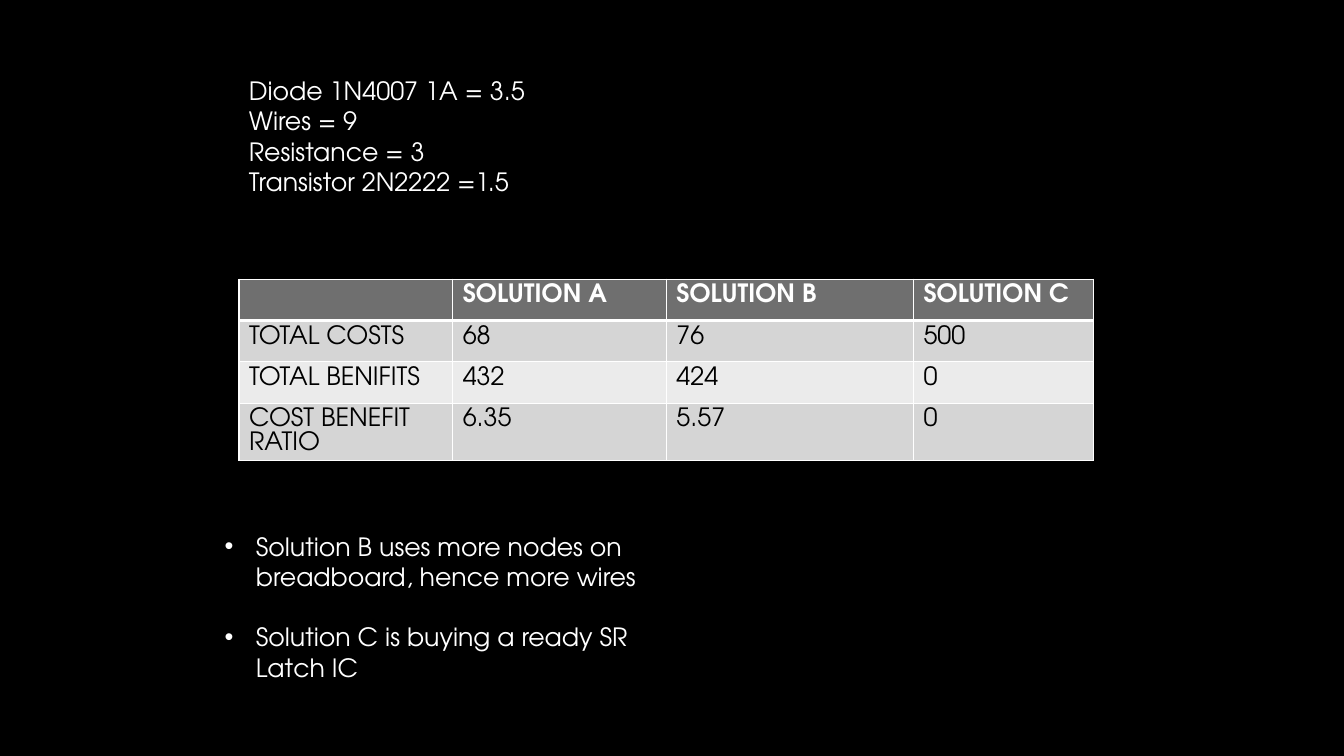
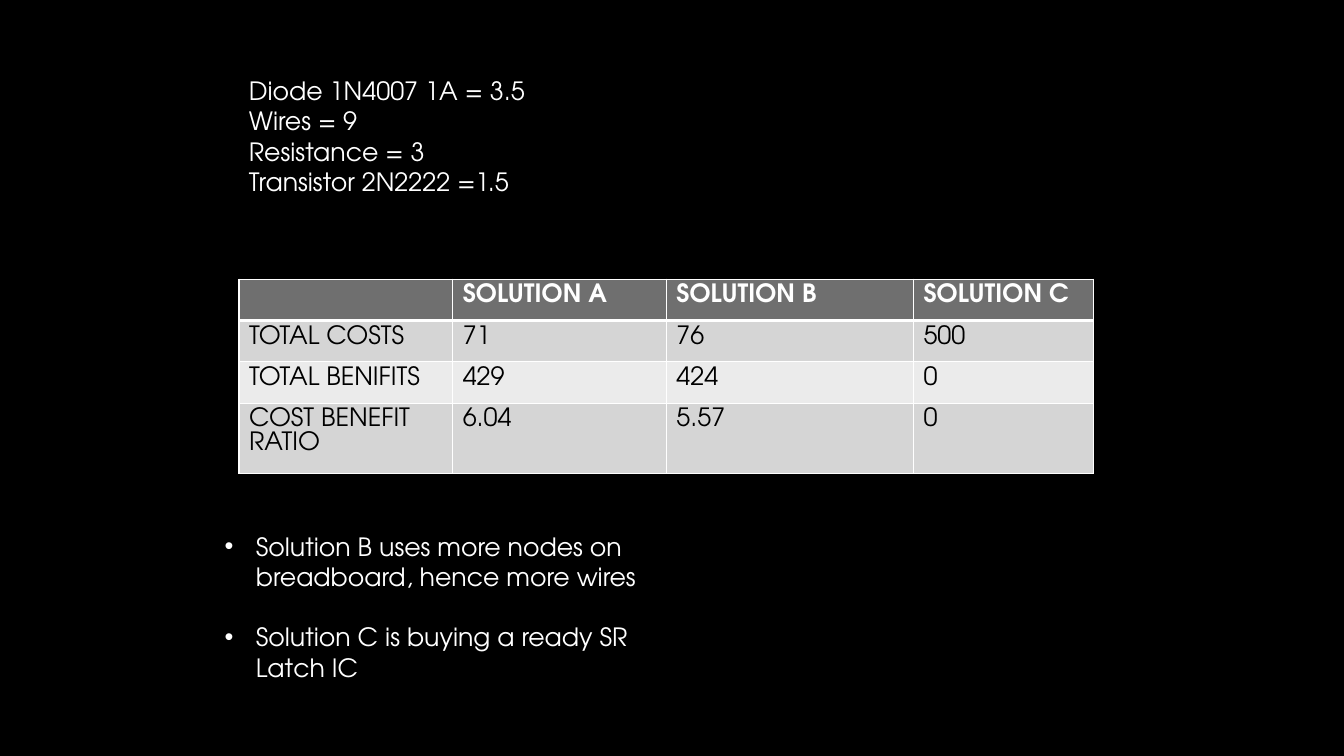
"""Build two cost-benefit slides, each with a parts list, a table and notes."""
from pptx import Presentation
from pptx.dml.color import RGBColor
from pptx.oxml import parse_xml
from pptx.oxml.ns import nsdecls
from pptx.util import Inches, Pt


def color(code):
    return RGBColor.from_string(code)


def write(frame, lines, look, ink, gap=0):
    frame.word_wrap = True
    for i, line in enumerate(lines):
        para = frame.paragraphs[0] if i == 0 else frame.add_paragraph()
        if i and gap:
            para.space_before = Pt(gap)
        run = para.add_run()
        run.text = line
        for name, value in look.items():
            setattr(run.font, name, value)
        run.font.color.rgb = color(ink)


WHITE, BLACK = "FFFFFF", "000000"
HEAD, DARK, PALE = "6F6F6F", "D5D5D5", "EBEBEB"
BODY = {"name": "TeX Gyre Adventor", "size": Pt(18), "bold": False}
BOLD = {**BODY, "bold": True}
INDENT = {"marL": str(Inches(0.31)), "indent": str(-Inches(0.31))}
PARTS = ["Diode 1N4007 1A = 3.5", "Wires = 9", "Resistance = 3", "Transistor 2N2222 =1.5"]
NOTES = [
    "Solution B uses more nodes on breadboard, hence more wires",
    "Solution C is buying a ready SR Latch IC",
]
TOP = ["", "SOLUTION A", "SOLUTION B", "SOLUTION C"]
COLS = [2.12, 2.12, 2.45, 1.79]
LABELS = ["TOTAL COSTS", "TOTAL BENIFITS", "COST BENEFIT RATIO"]
OTHERS = [["76", "500"], ["424", "0"], ["5.57", "0"]]
SLIDES = [(["68", "432", "6.35"], 0.56), (["71", "429", "6.04"], 0.69)]

deck = Presentation()
deck.slide_width, deck.slide_height = Inches(13.33), Inches(7.5)

for first, last in SLIDES:
    slide = deck.slides.add_slide(deck.slide_layouts[6])
    slide.background.fill.solid()
    slide.background.fill.fore_color.rgb = color(BLACK)

    rows = [TOP] + [[name, a, *rest] for name, a, rest in zip(LABELS, first, OTHERS)]
    tall = [0.41, 0.41, 0.41, last]
    table = slide.shapes.add_table(
        len(rows), len(COLS), Inches(2.37), Inches(2.77), Inches(sum(COLS)), Inches(sum(tall))
    ).table
    table.horz_banding = False
    for col, width in zip(table.columns, COLS):
        col.width = Inches(width)
    for r, (row, height) in enumerate(zip(rows, tall)):
        table.rows[r].height = Inches(height)
        ink, look = (WHITE, BOLD) if r == 0 else (BLACK, BODY)
        for c, text in enumerate(row):
            cell = table.cell(r, c)
            cell.fill.solid()
            cell.fill.fore_color.rgb = color([HEAD, DARK, PALE, DARK][r])
            if text:
                write(cell.text_frame, [text], look, ink)
            props = cell._tc.get_or_add_tcPr()
            for i, side in enumerate("LRTB"):
                thick = (r, side) in [(0, "B"), (1, "T")]
                props.insert(i, parse_xml(
                    f'<a:ln{side} {nsdecls("a")} w="{Pt(3 if thick else 1)}"><a:solidFill>'
                    f'<a:srgbClr val="{WHITE}"/></a:solidFill></a:ln{side}>'
                ))

    box = slide.shapes.add_textbox(Inches(2.37), Inches(0.7), Inches(3.74), Inches(1.92))
    write(box.text_frame, PARTS, BODY, WHITE)

    box = slide.shapes.add_textbox(Inches(2.13), Inches(5.22), Inches(4.3), Inches(1.92))
    write(box.text_frame, NOTES, BODY, WHITE, 21.5)
    for para in box.text_frame.paragraphs:
        props = para._p.get_or_add_pPr()
        for name, value in INDENT.items():
            props.set(name, value)
        for tag in ('buFont typeface="Arial"', 'buChar char="•"'):
            props.append(parse_xml(f'<a:{tag} {nsdecls("a")}/>'))

deck.save("out.pptx")
